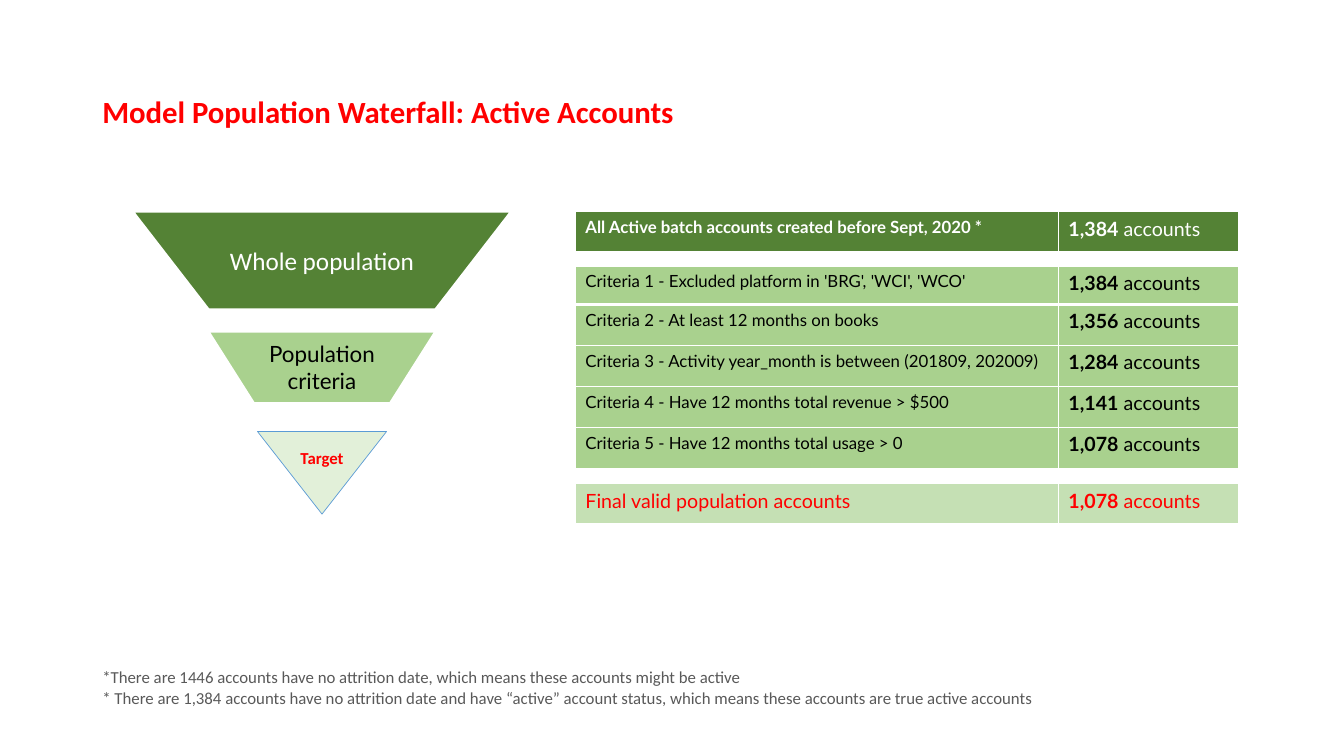
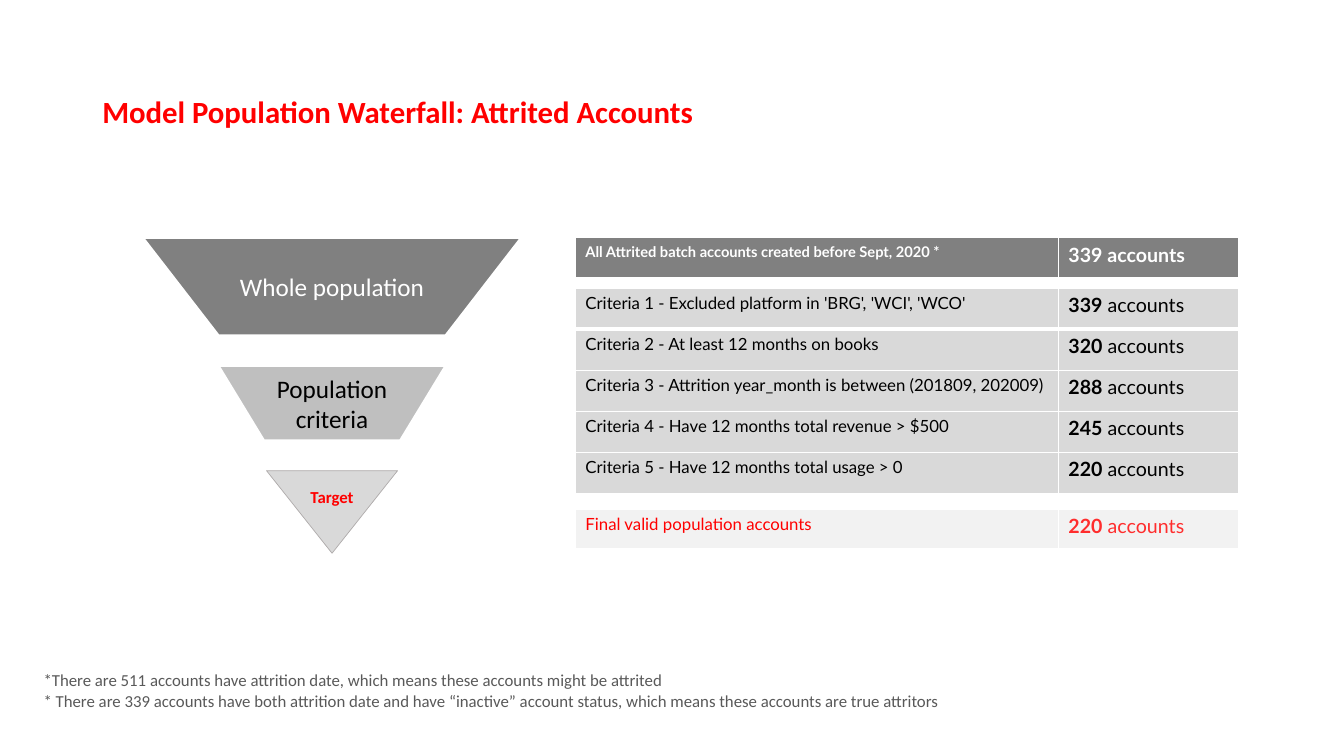
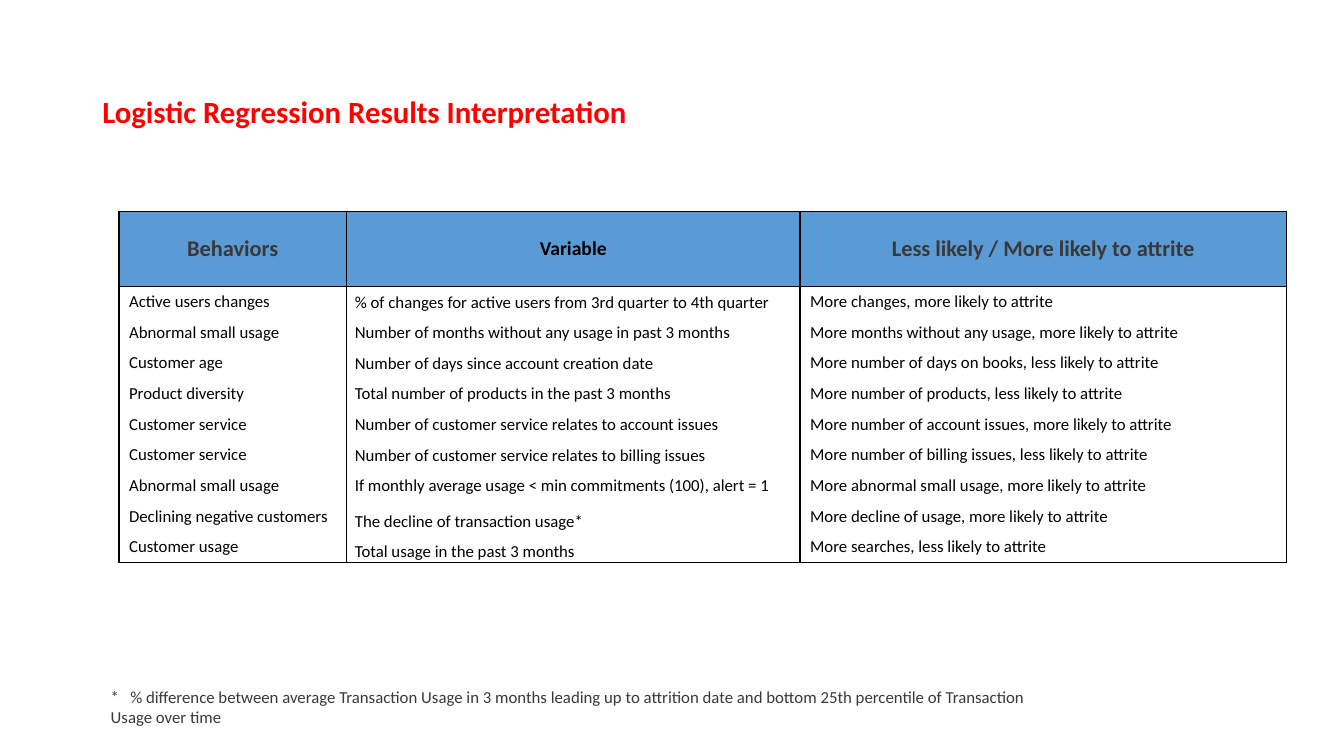
from lxml.etree import SubElement
from pptx import Presentation
from pptx.dml.color import RGBColor
from pptx.enum.shapes import MSO_SHAPE as Preset
from pptx.enum.text import MSO_ANCHOR as Anchor, PP_ALIGN as Align
from pptx.oxml import parse_xml
from pptx.oxml.ns import nsdecls, qn
from pptx.util import Pt

# Shared look
COLORS = {
    "red": "FF0000", "light_red": "FF2D2D", "white": "FFFFFF", "black": "000000",
    "gray_text": "595959", "dark_text": "3B3838", "blue": "5B9BD5",
    "dark_green": "548235", "green": "A9D18E", "mint": "C5E0B4", "pale_green": "E2F0D9",
    "dark_gray": "808080", "mid_gray": "BFBFBF", "gray": "D9D9D9", "pale_gray": "F2F2F2",
    "gray_line": "AFABAB",
}
TITLE_BOX = (66, 28.8, 828, 104.4)
TITLE_STYLE = dict(name="Calibri", size=22, bold=True, color="red")
NOTE_STYLE = dict(name="Calibri", size=12, color="gray_text")
WATERFALL_LEFT, WATERFALL_COLUMNS = 411, (345, 128.5)
ROW_HEIGHT = 29.3
FUNNEL_WIDTH = 270

# Content: waterfall slides
WATERFALLS = [
    dict(
        title="Model Population Waterfall: Active Accounts",
        fills=("dark_green", "green", "mint"),
        tops=(151.2, 190.1, 345.6), first_row=27.4,
        start=("All Active batch accounts created before Sept, 2020 *", "1,384"),
        start_size=12, start_bold=False,
        criteria=[
            ("Criteria 1 - Excluded platform in 'BRG', 'WCI', 'WCO'", "1,384"),
            ("Criteria 2 - At least 12 months on books", "1,356"),
            ("Criteria 3 - Activity year_month is between (201809, 202009)", "1,284"),
            ("Criteria 4 - Have 12 months total revenue > $500", "1,141"),
            ("Criteria 5 - Have 12 months total usage > 0", "1,078"),
        ],
        final=("Final valid population accounts", "1,078"),
        final_size=14, final_color="red",
        center=230, stage_tops=(151.2, 236.9, 308.2), stage_heights=(69.8, 51.1, 59),
        stage_fills=("dark_green", "green", "pale_green"),
        criteria_font=dict(name="Lato", size=16), target_width=92.2, target_line="blue",
        note_at=(66, 473),
        notes=[
            "*There are 1446 accounts have no attrition date, which means these accounts might be active",
            "* There are 1,384 accounts have no attrition date and have “active” account status, "
            "which means these accounts are true active accounts",
        ],
    ),
    dict(
        title="Model Population Waterfall: Attrited Accounts",
        fills=("dark_gray", "gray", "pale_gray"),
        tops=(169.9, 205.9, 363.6), first_row=ROW_HEIGHT,
        start=("All Attrited batch accounts created before Sept, 2020 *", "339"),
        start_size=10.5, start_bold=True,
        criteria=[
            ("Criteria 1 - Excluded platform in 'BRG', 'WCI', 'WCO'", "339"),
            ("Criteria 2 - At least 12 months on books", "320"),
            ("Criteria 3 - Attrition year_month is between (201809, 202009)", "288"),
            ("Criteria 4 - Have 12 months total revenue > $500", "245"),
            ("Criteria 5 - Have 12 months total usage > 0", "220"),
        ],
        final=("Final valid population accounts", "220"),
        final_size=12, final_color="light_red",
        center=237.2, stage_tops=(169.9, 261.4, 336.2), stage_heights=(69.8, 53.3, 59),
        stage_fills=("dark_gray", "mid_gray", "gray"),
        criteria_font=dict(name="Calibri", size=18), target_width=93.6, target_line="gray_line",
        note_at=(24, 475.2),
        notes=[
            "*There are 511 accounts have attrition date, which means these accounts might be attrited",
            "* There are 339 accounts have both attrition date and have “inactive” account status, "
            "which means these accounts are true attritors",
        ],
    ),
]

# Content: regression slide
REGRESSION_TITLE = "Logistic Regression Results Interpretation"
REGRESSION_HEADERS = [
    ("Behaviors", 16, "dark_text"),
    ("Variable", 14, "black"),
    ("Less likely / More likely to attrite", 16, "dark_text"),
]
REGRESSION_ROWS = [
    ("Active users changes", "% of changes for active users from 3rd quarter to 4th quarter",
     "More changes, more likely to attrite"),
    ("Abnormal small usage", "Number of months without any usage in past 3 months",
     "More months without any usage, more likely to attrite"),
    ("Customer age", "Number of days since account creation date",
     "More number of days on books, less likely to attrite"),
    ("Product diversity", "Total number of products in the past 3 months",
     "More number of products, less likely to attrite"),
    ("Customer service", "Number of customer service relates to account issues",
     "More number of account issues, more likely to attrite"),
    ("Customer service", "Number of customer service relates to billing issues",
     "More number of billing issues, less likely to attrite"),
    ("Abnormal small usage", "If monthly average usage < min commitments (100), alert = 1",
     "More abnormal small usage, more likely to attrite"),
    ("Declining negative customers", "The decline of transaction usage*",
     "More decline of usage, more likely to attrite"),
    ("Customer usage", "Total usage in the past 3 months",
     "More searches, less likely to attrite"),
]
BOTTOM_ANCHORED = ("The decline", "Total usage")
REGRESSION_NOTE = (
    "*\t% difference between average Transaction Usage in 3 months leading up to attrition date "
    "and bottom 25th percentile of Transaction Usage over time"
)


def rgb(color):
    return RGBColor.from_string(COLORS[color])


def write(frame, paragraphs, style, align=Align.LEFT):
    """Each paragraph is a list of (text, style changes) runs."""
    for index, runs in enumerate(paragraphs):
        paragraph = frame.paragraphs[0] if index == 0 else frame.add_paragraph()
        paragraph.alignment = align
        for text, changes in runs:
            run = paragraph.add_run()
            run.text = text
            for key, value in {**style, **changes}.items():
                if key == "color":
                    run.font.color.rgb = rgb(value)
                else:
                    setattr(run.font, key, Pt(value) if key == "size" else value)


def add_text(slide, box, lines, style, anchor=Anchor.TOP):
    frame = slide.shapes.add_textbox(*map(Pt, box)).text_frame
    frame.word_wrap = True
    frame.vertical_anchor = anchor
    write(frame, [[(line, {})] for line in lines], style)
    return frame


def add_titled_slide(presentation, title):
    slide = presentation.slides.add_slide(presentation.slide_layouts[6])
    frame = add_text(slide, TITLE_BOX, [title], TITLE_STYLE, Anchor.MIDDLE)
    frame.paragraphs[0].line_spacing = 0.9
    return slide


def add_table(slide, left, top, columns, heights):
    frame = slide.shapes.add_table(len(heights), len(columns), Pt(left), Pt(top),
                                   Pt(sum(columns)), Pt(sum(heights)))
    table = frame.table
    table.first_row = table.horz_banding = False
    for column, width in zip(table.columns, columns):
        column.width = Pt(width)
    for row, height in zip(table.rows, heights):
        row.height = Pt(height)
    return table


def format_cell(cell, fill, line, widths):
    """Widths are left, right, top, bottom; 0 means no line."""
    cell.fill.solid()
    cell.fill.fore_color.rgb = rgb(fill)
    properties = cell._tc.get_or_add_tcPr()
    for index, (side, width) in enumerate(zip("LRTB", widths)):
        paint = f'<a:solidFill><a:srgbClr val="{COLORS[line]}"/></a:solidFill>' if width else "<a:noFill/>"
        properties.insert(index, parse_xml(
            f'<a:ln{side} {nsdecls("a")} w="{Pt(width)}">{paint}</a:ln{side}>'))


def add_waterfall_table(slide, top, rows, heights, fill, label_style, count_style, rest):
    table = add_table(slide, WATERFALL_LEFT, top, WATERFALL_COLUMNS, heights)
    for index, (label, count) in enumerate(rows):
        runs = [[(label, label_style)], [(count, {"bold": True}), (" accounts", rest)]]
        for column, cell_runs in enumerate(runs):
            cell = table.cell(index, column)
            write(cell.text_frame, [cell_runs], count_style)
            format_cell(cell, fill, "white", (1, 1, 1, 1 if index else 3))


def add_stage(slide, preset, box, text, fill, line, style, anchor):
    shape = slide.shapes.add_shape(preset, *map(Pt, box))
    shape.shadow.inherit = False
    shape.fill.solid()
    shape.fill.fore_color.rgb = rgb(fill)
    shape.line.color.rgb = rgb(line[0])
    shape.line.width = Pt(line[1])
    shape.text_frame.word_wrap = True
    shape.text_frame.vertical_anchor = anchor
    write(shape.text_frame, [[(text, {})]], style, Align.CENTER)


def add_waterfall_slide(presentation, data):
    slide = add_titled_slide(presentation, data["title"])

    # Funnel
    trapezoid, triangle = Preset.FLOWCHART_MANUAL_OPERATION, Preset.FLOWCHART_MERGE
    edge = ("white", 1.5)
    stages = [
        (trapezoid, FUNNEL_WIDTH, "Whole population", edge,
         dict(name="Calibri", size=18, color="white"), Anchor.MIDDLE),
        (trapezoid, FUNNEL_WIDTH * 0.6, "Population criteria", edge,
         dict(data["criteria_font"], color="black"), Anchor.MIDDLE),
        (triangle, data["target_width"], "Target", (data["target_line"], 0.5),
         dict(name="Calibri", size=12, bold=True, color="red"), Anchor.BOTTOM),
    ]
    places = zip(stages, data["stage_tops"], data["stage_heights"], data["stage_fills"])
    for (preset, width, text, line, style, anchor), top, height, fill in places:
        box = (data["center"] - width / 2, top, width, height)
        add_stage(slide, preset, box, text, fill, line, style, anchor)

    # Start, criteria and final tables
    base = dict(name="Lato", size=14)
    plain = {"bold": False}
    criteria_heights = [data["first_row"]] + [ROW_HEIGHT] * (len(data["criteria"]) - 1)
    tables = [
        ([data["start"]], [ROW_HEIGHT], dict(size=data["start_size"], bold=True),
         dict(base, color="white"), {"bold": data["start_bold"]}),
        (data["criteria"], criteria_heights, dict(size=12), dict(base, color="black"), plain),
        ([data["final"]], [ROW_HEIGHT], dict(size=data["final_size"], color="red"),
         dict(base, color=data["final_color"]), plain),
    ]
    for top, fill, (rows, heights, label, count, rest) in zip(data["tops"], data["fills"], tables):
        add_waterfall_table(slide, top, rows, heights, fill, label, count, rest)

    add_text(slide, (*data["note_at"], 774, 36), data["notes"], NOTE_STYLE)


def add_regression_slide(presentation):
    slide = add_titled_slide(presentation, REGRESSION_TITLE)
    last = len(REGRESSION_ROWS)
    table = add_table(slide, 85, 151.2, (162.5, 324, 347.5), [53.5] + [21.9] * last)

    # Header row
    for column, (text, size, color) in enumerate(REGRESSION_HEADERS):
        cell = table.cell(0, column)
        cell.vertical_anchor = Anchor.MIDDLE
        write(cell.text_frame, [[(text, {})]],
              dict(name="Calibri", size=size, bold=True, color=color), Align.CENTER)
        format_cell(cell, "blue", "black", (1, 1, 1, 1))

    # Body rows, ruled only around the block and between columns
    for index, texts in enumerate(REGRESSION_ROWS, 1):
        for column, text in enumerate(texts):
            cell = table.cell(index, column)
            if column == 1:
                low = text.startswith(BOTTOM_ANCHORED)
                cell.vertical_anchor = Anchor.BOTTOM if low else Anchor.MIDDLE
                cell.margin_left, cell.margin_right = Pt(6), Pt(0.7)
                cell.margin_top, cell.margin_bottom = Pt(0.7), Pt(0)
            write(cell.text_frame, [[(text, {})]], dict(name="Calibri", size=12, color="black"))
            format_cell(cell, "white", "black", (1, 1, int(index == 1), int(index == last)))

    # Footnote, with a tab stop after the asterisk
    frame = add_text(slide, (72, 486.7, 697.7, 36), [REGRESSION_NOTE],
                     dict(NOTE_STYLE, color="dark_text"))
    stops = SubElement(frame.paragraphs[0]._p.get_or_add_pPr(), qn("a:tabLst"))
    SubElement(stops, qn("a:tab"), pos=str(Pt(14)), algn="l")


def main():
    presentation = Presentation()
    presentation.slide_width, presentation.slide_height = Pt(960), Pt(540)
    for data in WATERFALLS:
        add_waterfall_slide(presentation, data)
    add_regression_slide(presentation)
    presentation.save("out.pptx")


if __name__ == "__main__":
    main()
